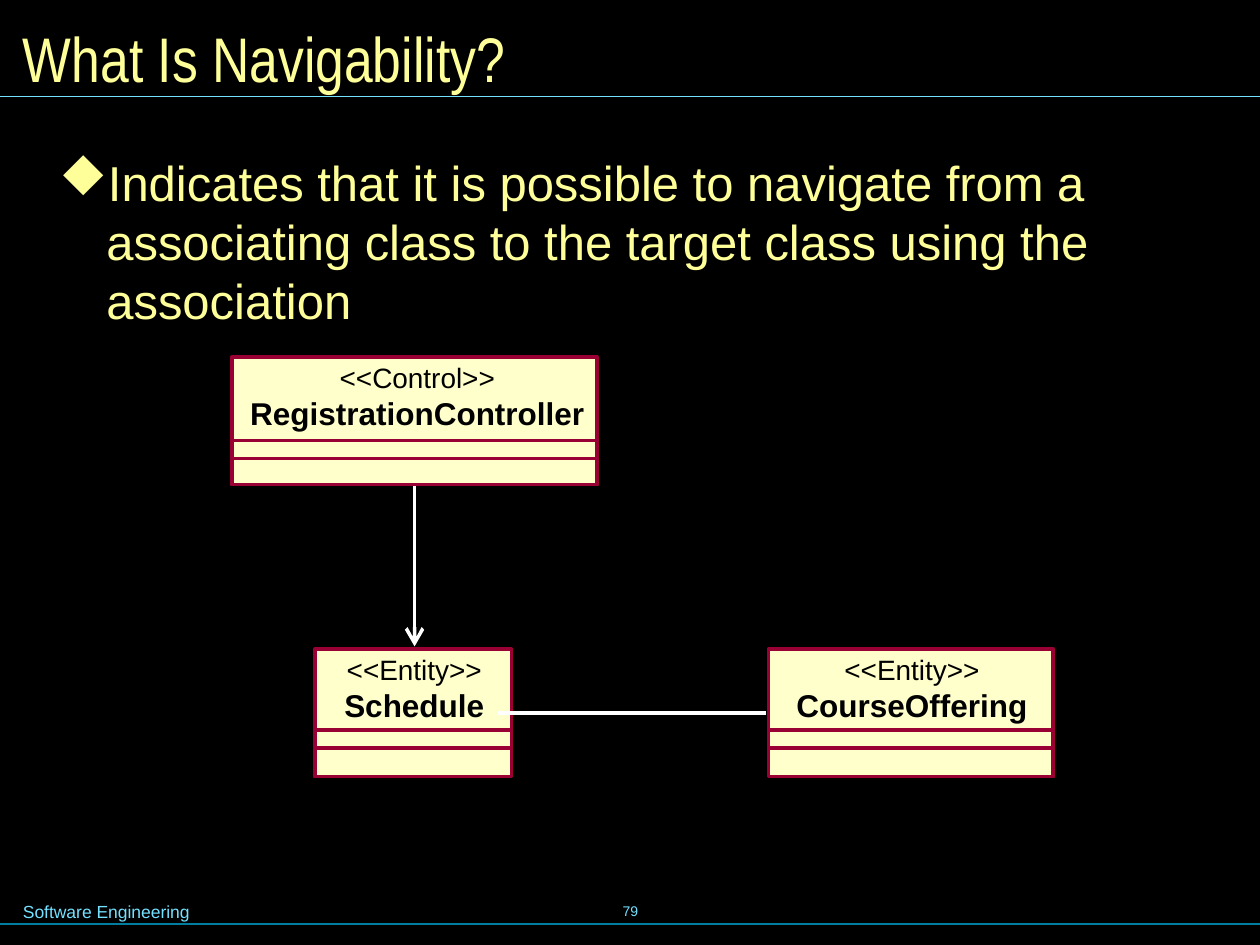
from dataclasses import dataclass

from lxml import etree
from pptx import Presentation
from pptx import util as u
from pptx.dml.color import RGBColor
from pptx.enum import shapes, text
from pptx.oxml.ns import qn

COLORS = {
    "background": "000000",
    "heading": "FFFF99",
    "rule": "73E1FF",
    "footer_rule": "007E9F",
    "class_fill": "FFFFCC",
    "class_edge": "990033",
    "class_text": "000000",
    "association": "FFFFFF",
}
CENTER = text.PP_ALIGN.CENTER
LEFT = text.PP_ALIGN.LEFT
TOP = text.MSO_ANCHOR.TOP
MIDDLE = text.MSO_ANCHOR.MIDDLE


@dataclass
class Label:
    words: str
    left: float
    top: float
    width: float
    height: float
    size: float
    color: str
    font: str = "Arial"
    bold: bool = False
    align: text.PP_ALIGN = LEFT
    anchor: text.MSO_ANCHOR = TOP
    insets: tuple = (7.2, 3.6)


@dataclass
class UmlClass:
    stereotype: str
    name: str
    left: float
    top: float
    width: float
    attributes_top: float
    text_shift: float = 0.6
    height: float = 72.9
    attributes_height: float = 10.1


@dataclass
class Line:
    start: tuple
    end: tuple
    color: str
    weight: float
    arrow: bool = False


def rgb(name: str) -> RGBColor:
    return RGBColor.from_string(COLORS[name])


def apply(target, values: dict) -> None:
    for key, value in values.items():
        setattr(target, key, value)


def draw_label(slide, label: Label):
    box = slide.shapes.add_textbox(
        *map(u.Pt, (label.left, label.top, label.width, label.height)))
    side, edge = map(u.Pt, label.insets)
    apply(box.text_frame, {
        "margin_left": side, "margin_right": side,
        "margin_top": edge, "margin_bottom": edge,
        "word_wrap": True, "vertical_anchor": label.anchor,
    })
    paragraph = box.text_frame.paragraphs[0]
    paragraph.alignment = label.align
    run = paragraph.add_run()
    run.text = label.words
    apply(run.font, {"name": label.font, "size": u.Pt(label.size), "bold": label.bold})
    run.font.color.rgb = rgb(label.color)
    return paragraph


def add_diamond_bullet(paragraph, color: str, indent: float) -> None:
    properties = paragraph._p.get_or_add_pPr()
    properties.set("marL", str(u.Pt(indent)))
    properties.set("indent", str(-u.Pt(indent)))
    bullet_color = etree.SubElement(properties, qn("a:buClr"))
    etree.SubElement(bullet_color, qn("a:srgbClr"), val=COLORS[color])
    etree.SubElement(properties, qn("a:buFont"), typeface="Wingdings",
                     pitchFamily="2", charset="2")
    etree.SubElement(properties, qn("a:buChar"), char="u")


def draw_line(slide, line: Line) -> None:
    connector = slide.shapes.add_connector(
        shapes.MSO_CONNECTOR.STRAIGHT, *map(u.Pt, line.start + line.end))
    connector.line.color.rgb = rgb(line.color)
    connector.line.width = u.Pt(line.weight)
    if line.arrow:
        etree.SubElement(connector.line._get_or_add_ln(), qn("a:tailEnd"),
                         type="arrow", w="lg", len="lg")
    etree.SubElement(connector._element.spPr, qn("a:effectLst"))


def draw_compartment(slide, uml: UmlClass, top: float, filled: bool) -> None:
    bottom = uml.top + uml.height
    compartment = slide.shapes.add_shape(
        shapes.MSO_SHAPE.RECTANGLE,
        *map(u.Pt, (uml.left, top, uml.width, bottom - top)))
    compartment.shadow.inherit = False
    if filled:
        compartment.fill.solid()
        compartment.fill.fore_color.rgb = rgb("class_fill")
    else:
        compartment.fill.background()
    compartment.line.color.rgb = rgb("class_edge")
    compartment.line.width = u.Pt(2)


def draw_class(slide, uml: UmlClass) -> None:
    operations_top = uml.attributes_top + uml.attributes_height
    for top in (uml.top, uml.attributes_top, operations_top):
        draw_compartment(slide, uml, top, filled=top == uml.top)
    for words, drop, height, size, bold in (
            (uml.stereotype, 2.2, 19.4, 16, False),
            (uml.name, 21.2, 21.6, 18, True)):
        draw_label(slide, Label(
            words, uml.left + uml.text_shift, uml.top + drop, uml.width, height,
            size, "class_text", bold=bold, align=CENTER, insets=(0, 0)))


def main() -> None:
    deck = Presentation()
    apply(deck, {"slide_width": u.Pt(720), "slide_height": u.Pt(540)})
    slide = deck.slides.add_slide(deck.slide_layouts[6])
    slide.background.fill.solid()
    slide.background.fill.fore_color.rgb = rgb("background")

    labels = (
        Label("79", 246.2, 502.6, 228.2, 36, 8, "rule", align=CENTER, anchor=MIDDLE),
        Label("Software Engineering", 6, 511.2, 212.4, 19.4, 10, "rule"),
        Label("What Is Navigability?", 6, 6, 708.5, 54, 36, "heading",
              font="Arial Narrow", anchor=MIDDLE),
    )
    rules = (
        Line((0, 528), (720, 528), "footer_rule", 0.75),
        Line((0, 55), (720, 55), "rule", 0.75),
    )
    for rule in rules:
        draw_line(slide, rule)
    for label in labels:
        draw_label(slide, label)

    definition = draw_label(slide, Label(
        "Indicates that it is possible to navigate from a associating class "
        "to the target class using the association",
        25.2, 82.8, 655.2, 213.8, 28, "heading", insets=(8.6, 4.3)))
    add_diamond_bullet(definition, "heading", 27)

    draw_line(slide, Line((236.9, 262.8), (236.9, 369.4), "association", 2, arrow=True))
    classes = (
        UmlClass("<<Control>>", "RegistrationController", 132.5, 204, 208.8, 251.8,
                 text_shift=1.6),
        UmlClass("<<Entity>>", "CourseOffering", 439.2, 370.8, 162.7, 417.3),
        UmlClass("<<Entity>>", "Schedule", 180, 370.8, 112.3, 417.3),
    )
    for uml in classes:
        draw_class(slide, uml)
    for end in (284.4, 437.8):
        draw_line(slide, Line((360.9, 407.5), (end, 407.5), "association", 2))

    deck.save("out.pptx")


if __name__ == "__main__":
    main()
